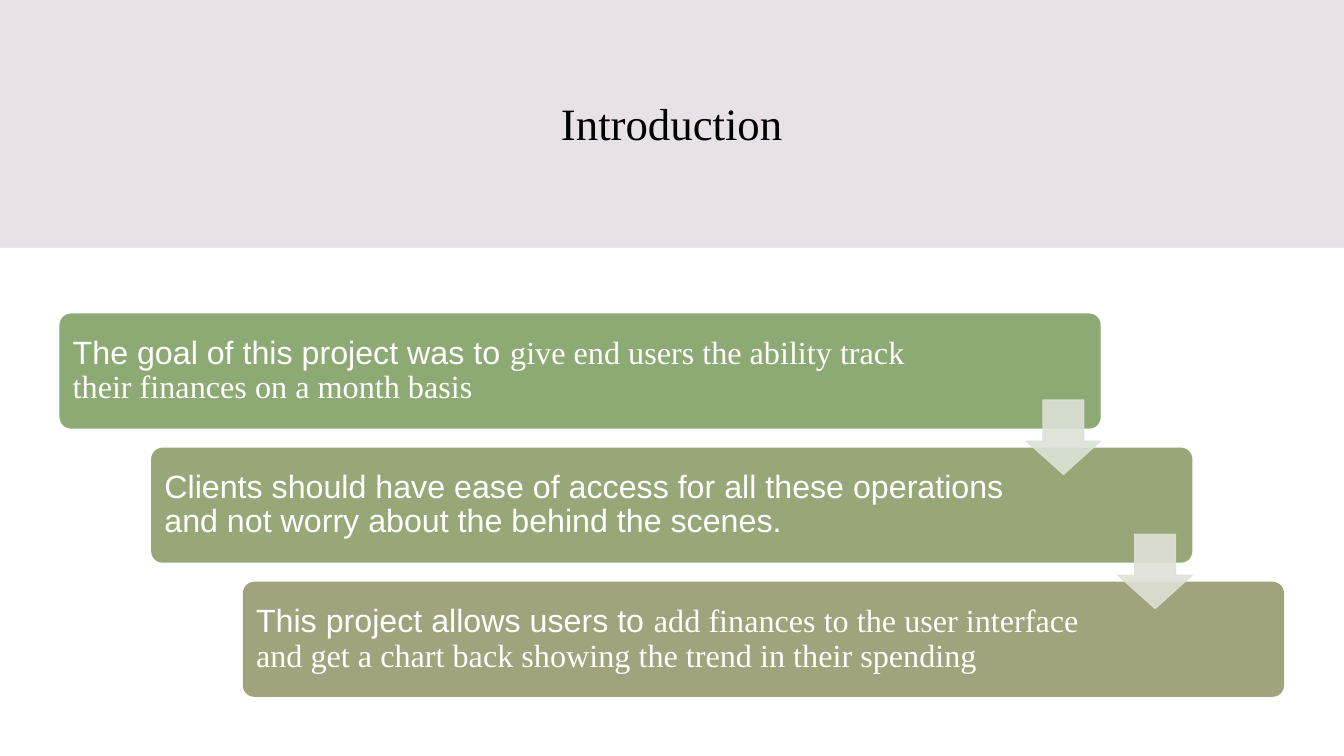
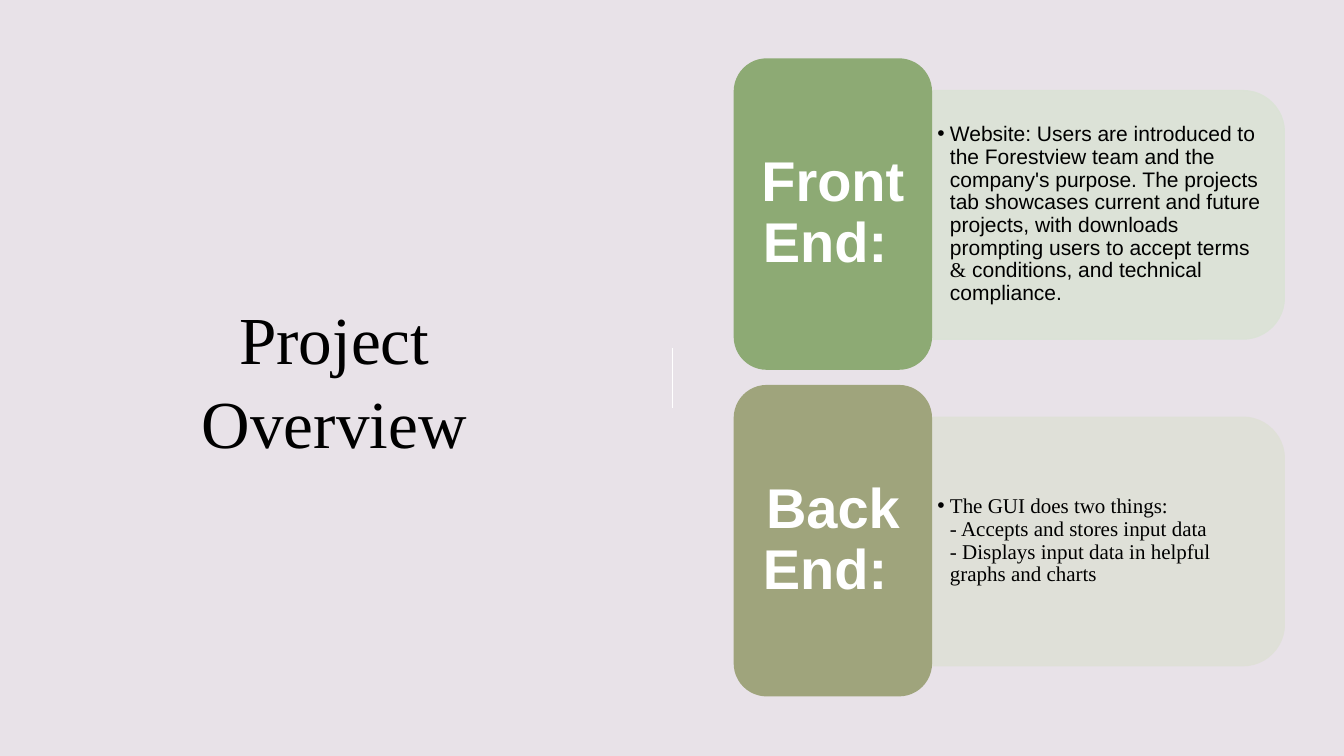
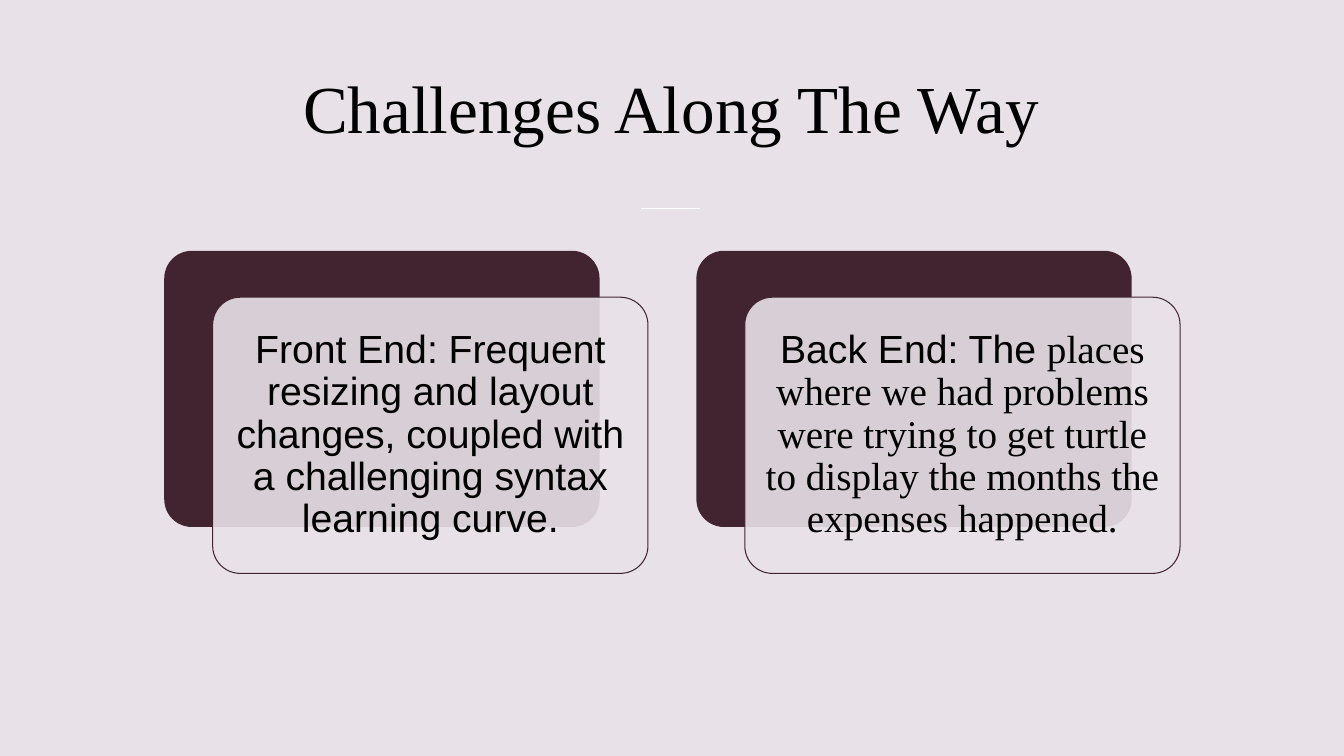
"""Build a three-slide project review: introduction, overview and challenges."""
from copy import deepcopy
from dataclasses import dataclass

from lxml import etree
from pptx import Presentation
from pptx import util as u
from pptx.dml import color
from pptx.enum import shapes, text
from pptx.oxml import ns

Cm = u.Cm
LILAC, WHITE, BLACK, PLUM = "E8E2E8", "FFFFFF", "000000", "412430"
GREEN, MOSS, OLIVE = "8DAA74", "97A778", "9FA47C"
PALE_GREEN, PALE_OLIVE = "DBE2D6", "DFE0D7"
SANS, SERIF = "Arial", "Times New Roman"
ROUND = shapes.MSO_SHAPE.ROUNDED_RECTANGLE
LEFT, CENTER = text.PP_ALIGN.LEFT, text.PP_ALIGN.CENTER


@dataclass(frozen=True)
class Box:
    """A frame in centimetres."""
    left: float
    top: float
    width: float
    height: float

    def moved(self, right: float, down: float) -> "Box":
        """Return the frame shifted by the given distances."""
        return Box(self.left + right, self.top + down, self.width, self.height)

    def lengths(self) -> tuple:
        """Return the frame as four lengths."""
        return Cm(self.left), Cm(self.top), Cm(self.width), Cm(self.height)


@dataclass(frozen=True)
class Phrase:
    """A stretch of wording in one font."""
    wording: str
    font: str = SANS


@dataclass(frozen=True)
class Style:
    """How a block of text is set; insets run left, top, right, bottom in cm."""
    size: float
    ink: str
    insets: tuple
    align: text.PP_ALIGN = LEFT
    bold: bool = False
    spacing: float = 0.9


@dataclass(frozen=True)
class Step:
    """A stage of the introduction's staircase."""
    phrases: tuple
    fill: str
    right_inset: float
    arrow: str = ""


@dataclass(frozen=True)
class Tier:
    """A labelled layer of the project with its description."""
    label: str
    phrases: tuple
    fill: str
    pale: str


STEPS = (
    Step((Phrase("The goal of this project was to "),
          Phrase("give end users the ability track their finances on a month basis", SERIF)),
         GREEN, 3.2, PALE_GREEN),
    Step((Phrase("Clients should have ease of access for all these operations "
                 "and not worry about the behind the scenes."),),
         MOSS, 4.45, PALE_OLIVE),
    Step((Phrase("This project allows users to "),
          Phrase("add finances to the user interface and get a chart back "
                 "showing the trend in their spending", SERIF)),
         OLIVE, 4.45),
)
TIERS = (
    Tier("Front End: ",
         (Phrase("Website: Users are introduced to the Forestview team and the company's "
                 "purpose. The projects tab showcases current and future projects, with "
                 "downloads prompting users to accept terms"),
          Phrase(" &", SERIF),
          Phrase(" conditions, and technical compliance.")),
         GREEN, PALE_GREEN),
    Tier("Back End: ",
         (Phrase("The GUI does two things:\n- Accepts and stores input data\n"
                 "- Displays input data in helpful graphs and charts", SERIF),),
         OLIVE, PALE_OLIVE),
)
CHALLENGES = (
    (Phrase("Front End: Frequent resizing and layout changes, coupled with "
            "a challenging syntax learning curve."),),
    (Phrase("Back End: The "),
     Phrase("places where we had problems were trying to get turtle to display "
            "the months the expenses happened.", SERIF)),
)


def rgb(value: str) -> color.RGBColor:
    """Turn a hex string into a colour."""
    return color.RGBColor.from_string(value)


def paint(shape, fill: str, line: str = "", alpha: int = 100) -> None:
    """Fill and outline a shape; an outline in the fill colour shares its alpha."""
    shape.shadow.inherit = False
    shape.fill.solid()
    shape.fill.fore_color.rgb = rgb(fill)
    if line:
        shape.line.color.rgb = rgb(line)
        shape.line.width = u.Pt(0.75)
    else:
        shape.line.fill.background()
    if alpha < 100:
        for tint in shape.element.spPr.iter(ns.qn("a:srgbClr")):
            if tint.get("val") == fill:
                etree.SubElement(tint, ns.qn("a:alpha")).set("val", str(alpha * 1000))


def add_panel(slide, kind, box: Box, fill: str, line: str = "", alpha: int = 100,
              adjustments: tuple = ()):
    """Add a painted preset shape."""
    panel = slide.shapes.add_shape(kind, *box.lengths())
    for position, value in enumerate(adjustments):
        panel.adjustments[position] = value
    paint(panel, fill, line, alpha)
    return panel


def write(shape, phrases: tuple, style: Style):
    """Set one paragraph of mixed fonts in a shape and return it."""
    frame = shape.text_frame
    frame.word_wrap = True
    frame.auto_size = text.MSO_AUTO_SIZE.NONE
    frame.vertical_anchor = text.MSO_ANCHOR.MIDDLE
    (frame.margin_left, frame.margin_top,
     frame.margin_right, frame.margin_bottom) = map(Cm, style.insets)
    paragraph = frame.paragraphs[0]
    paragraph.alignment = style.align
    paragraph.line_spacing = style.spacing
    paragraph.space_before = u.Pt(0)
    for phrase in phrases:
        done = len(paragraph.runs)
        if done:
            paragraph.add_run().text = phrase.wording
        else:
            paragraph.text = phrase.wording
        for run in paragraph.runs[done:]:
            run.font.name = phrase.font
            run.font.size = u.Pt(style.size)
            run.font.bold = style.bold
            run.font.color.rgb = rgb(style.ink)
    for line_break in paragraph._p.findall(ns.qn("a:br")):
        line_break.append(deepcopy(paragraph.runs[0]._r.rPr))
    return paragraph


def place(shape, box: Box) -> None:
    """Move a placeholder to a frame."""
    shape.left, shape.top, shape.width, shape.height = box.lengths()


def add_slide(deck, layout: int, title: str, box: Box, size: float):
    """Add a slide with the shared title style."""
    slide = deck.slides.add_slide(deck.slide_layouts[layout])
    place(slide.shapes.title, box)
    write(slide.shapes.title, (Phrase(title, SERIF),),
          Style(size, BLACK, (0.25, 0.13, 0.25, 0.13), CENTER, spacing=1.05))
    return slide


def add_divider(slide, x1: float, y1: float, x2: float, y2: float) -> None:
    """Draw a short white line."""
    divider = slide.shapes.add_connector(
        shapes.MSO_CONNECTOR.STRAIGHT, Cm(x1), Cm(y1), Cm(x2), Cm(y2))
    divider.line.color.rgb = rgb(WHITE)
    divider.line.width = u.Pt(1)
    etree.SubElement(divider.element.spPr, ns.qn("a:effectLst"))


def build_introduction(deck) -> None:
    """Draw the staircase of goals."""
    slide = add_slide(deck, 5, "Introduction", Box(3, 1.5, 27.86, 3.12), 32)
    add_panel(slide, shapes.MSO_SHAPE.RECTANGLE, Box(0, 6.25, 33.87, 12.8), WHITE)
    first, across, down = Box(1.5, 7.9, 26.24, 2.9), 2.31, 3.38
    for i, step in enumerate(STEPS):
        stair = add_panel(slide, ROUND, first.moved(i * across, i * down), step.fill,
                          adjustments=(0.1,))
        write(stair, step.phrases,
              Style(23, WHITE, (0.25, 0.25, step.right_inset, 0.25)))
    side = 1.88
    arrow = Box(first.left + first.width - side, first.top + 2.18, side, side)
    for i, step in enumerate(STEPS):
        if step.arrow:
            add_panel(slide, shapes.MSO_SHAPE.DOWN_ARROW,
                      arrow.moved(i * across, i * down), step.arrow, step.arrow, 90,
                      (0.55, 0.45))


def build_overview(deck) -> None:
    """Draw the two tiers beside the title."""
    slide = add_slide(deck, 3, "Project Overview", Box(3, 3, 10.85, 13.03), 48)
    add_divider(slide, 16.94, 8.76, 16.94, 10.29)
    pitch = 8.23
    for i, tier in enumerate(TIERS):
        panel = add_panel(slide, shapes.MSO_SHAPE.ROUND_2_SAME_RECTANGLE,
                          Box(24.79, 0.97, 6.27, 8.89).moved(0, i * pitch),
                          tier.pale, tier.pale, 90)
        panel.rotation = 90
        details = slide.placeholders[i + 1]
        place(details, Box(23.47, 2.57, 8.59, 5.66).moved(0, i * pitch))
        bullet = write(details, tier.phrases, Style(15, BLACK, (0.15, 0.08, 0.15, 0.08)))
        indent = Cm(0.32)
        properties = bullet._p.get_or_add_pPr()
        properties.set("marL", str(indent))
        properties.set("indent", str(-indent))
        panel.element.addnext(details.element)
        badge = add_panel(slide, ROUND, Box(18.49, 1.47, 5, 7.85).moved(0, i * pitch),
                          tier.fill)
        write(badge, (Phrase(tier.label),),
              Style(40, WHITE, (0.43, 0.2, 0.43, 0.2), CENTER, bold=True))


def build_challenges(deck) -> None:
    """Draw the two layered cards."""
    slide = add_slide(deck, 5, "Challenges Along The Way", Box(2.74, 0.71, 28.37, 3.86), 48)
    add_divider(slide, 16.15, 5.26, 17.65, 5.26)
    for i, phrases in enumerate(CHALLENGES):
        back = Box(4.14, 6.32, 10.97, 6.96).moved(i * 13.41, 0)
        add_panel(slide, ROUND, back, PLUM, adjustments=(0.1,))
        card = add_panel(slide, ROUND, back.moved(1.22, 1.17), LILAC, PLUM, 90, (0.1,))
        write(card, phrases, Style(28, BLACK, (0.3, 0.3, 0.3, 0.3), CENTER))


def main() -> None:
    """Build and save the deck."""
    deck = Presentation()
    deck.slide_width, deck.slide_height = Cm(33.87), Cm(19.05)
    backdrop = deck.slide_master.background.fill
    backdrop.solid()
    backdrop.fore_color.rgb = rgb(LILAC)
    build_introduction(deck)
    build_overview(deck)
    build_challenges(deck)
    deck.save("out.pptx")


if __name__ == "__main__":
    main()
